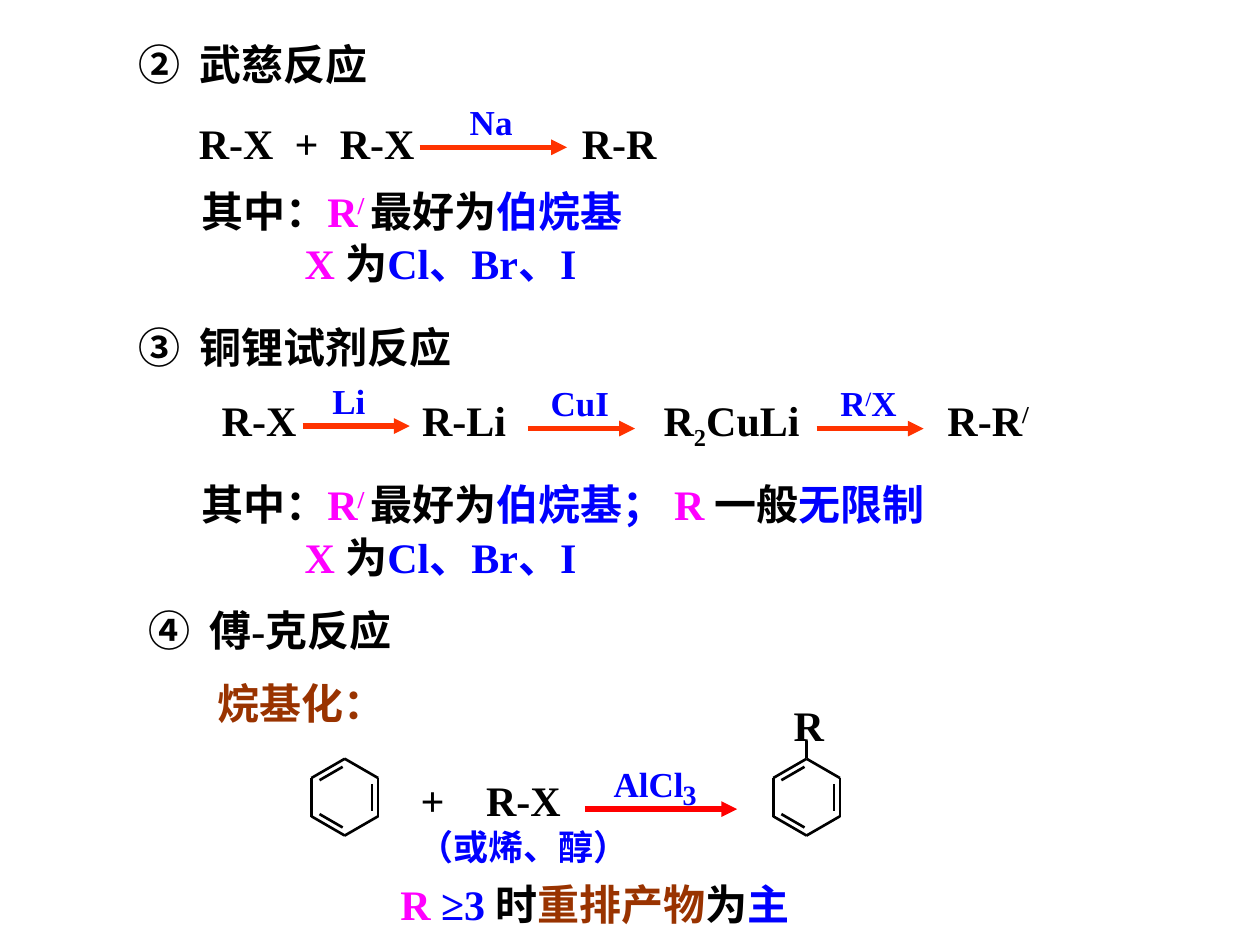
import math
from dataclasses import dataclass

import pptx
import pptx.dml.color
import pptx.enum.shapes
import pptx.enum.text
import pptx.oxml.ns
import pptx.util
from lxml import etree

Cm, Pt = pptx.util.Cm, pptx.util.Pt
qn = pptx.oxml.ns.qn


@dataclass(frozen=True)
class Theme:
    font: str = "Times New Roman"
    black: str = "000000"
    blue: str = "0000FF"
    pink: str = "FF00FF"
    brown: str = "993300"
    orange: str = "FF3300"
    red: str = "FF0000"
    big: int = 24
    small: int = 20
    tiny: int = 16
    bond: float = 1.5
    thick: float = 3


class Page:
    """Holds the theme and the slide; all lengths are centimetres."""

    def __init__(self, theme, slide):
        self.theme, self.slide = theme, slide

    def fill(self, shape, parts, size, tabs=()):
        """Write runs given as (text, colour) or (text, colour, baseline)."""
        frame = shape.text_frame
        frame.word_wrap = True
        frame.auto_size = pptx.enum.text.MSO_AUTO_SIZE.NONE
        frame.vertical_anchor = pptx.enum.text.MSO_ANCHOR.TOP
        par = frame.paragraphs[0]
        par.alignment = pptx.enum.text.PP_ALIGN.LEFT
        if tabs:
            stops = etree.SubElement(par._p.get_or_add_pPr(), qn("a:tabLst"))
            for stop in tabs:
                etree.SubElement(stops, qn("a:tab"), pos=str(Cm(stop)), algn="l")
        for text, color, *base in parts:
            run = par.add_run()
            run.text = text
            font = run.font
            font.name, font.size, font.bold = self.theme.font, Pt(size), True
            font.color.rgb = pptx.dml.color.RGBColor.from_string(color)
            if base:
                run._r.get_or_add_rPr().set("baseline", str(base[0] * 1000))

    def title(self, x, y, wide, text, tabs):
        shape = self.slide.shapes.title
        shape.left, shape.top = Cm(x), Cm(y)
        shape.width, shape.height = Cm(wide), Cm(1.27)
        self.fill(shape, [(text, self.theme.black)], self.theme.big, tabs)

    def text(self, x, y, wide, parts, size=None, tabs=()):
        size = size or self.theme.big
        high = 1.27 if size == self.theme.big else 1.11
        box = self.slide.shapes.add_textbox(Cm(x), Cm(y), Cm(wide), Cm(high))
        self.fill(box, parts, size, tabs)

    def line(self, x1, y1, x2, y2, color, width):
        kind = pptx.enum.shapes.MSO_CONNECTOR.STRAIGHT
        line = self.slide.shapes.add_connector(kind, Cm(x1), Cm(y1), Cm(x2), Cm(y2))
        line.line.color.rgb = pptx.dml.color.RGBColor.from_string(color)
        line.line.width = Pt(width)
        etree.SubElement(line._element.spPr, qn("a:effectLst"))
        return line

    def arrow(self, x, y, wide, color):
        line = self.line(x, y, x + wide, y, color, self.theme.thick)
        etree.SubElement(line.line._get_or_add_ln(), qn("a:tailEnd"), type="triangle")

    def side(self, x, y, angle, reach, half):
        """One bond, square to the ray that leaves the ring centre at angle."""
        cos, sin = math.cos(math.radians(angle)), math.sin(math.radians(angle))
        mid_x, mid_y = x + reach * cos, y + reach * sin
        self.line(mid_x + half * sin, mid_y - half * cos,
                  mid_x - half * sin, mid_y + half * cos,
                  self.theme.black, self.theme.bond)

    def ring(self, x, y):
        for angle in range(0, 360, 60):
            self.side(x, y, angle, 0.67, 0.39)
        for angle in range(0, 360, 120):
            self.side(x, y, angle, 0.55, 0.27)

    def note(self, y, extra=()):
        """The two lines on which R and X are allowed."""
        t = self.theme
        self.text(3.81, y, 18, [("其中：", t.black), ("R", t.pink), ("/ ", t.pink, 30),
                                ("最好为", t.black), ("伯烷基", t.blue), *extra])
        self.text(5.89, y + 1.06, 8, [("X ", t.pink), ("为", t.black),
                                      ("Cl、Br、I", t.blue)])


def main():
    deck = pptx.Presentation()
    deck.slide_width, deck.slide_height = Cm(25.4), Cm(19.05)
    t = Theme()
    page = Page(t, deck.slides.add_slide(deck.slide_layouts[5]))

    # Headings
    gap = [1.23]
    page.title(2.54, 0.64, 7, "②\t武慈反应", gap)
    page.text(2.54, 6.35, 8.05, [("③\t铜锂试剂反应", t.black)], tabs=gap)
    page.text(2.74, 12.07, 7, [("④\t傅-克反应", t.black)], tabs=gap)

    # Coupling with sodium
    page.text(3.76, 2.24, 11, [("R-X\t+\tR-X\tR-R", t.black)], tabs=[1.93, 2.84, 7.72])
    page.text(9.22, 1.9, 1.6, [("Na", t.blue)], t.small)
    page.arrow(8.46, 2.97, 2.97, t.orange)
    page.note(3.61)

    # Copper lithium route
    page.text(4.22, 7.82, 17.4, [("R-X\tR-Li\tR", t.black), ("2", t.black, -25),
                                 ("CuLi\tR-R", t.black), ("/", t.black, 30)],
              tabs=[4.04, 8.91, 14.63])
    steps = [
        (6.45, 7.52, 6.1, 8.59, [("Li", t.blue)]),
        (10.85, 7.57, 10.64, 8.64, [("CuI", t.blue)]),
        (16.69, 7.57, 16.46, 8.64, [("R", t.blue), ("/", t.blue, 30), ("X", t.blue)]),
    ]
    for x, y, start, level, parts in steps:
        page.text(x, y, 2, parts, t.small)
        page.arrow(start, level, 2.16, t.orange)
    page.note(9.53, [("； ", t.blue), ("R ", t.pink), ("一般", t.black),
                     ("无限制", t.blue)])

    # Alkylation of benzene
    page.text(4.14, 13.54, 4.2, [("烷基化：", t.brown)])
    for x in (6.95, 16.26):
        page.ring(x, 16.07)
    page.line(16.26, 15.29, 16.26, 14.94, t.black, t.bond)
    page.text(15.75, 13.97, 1.3, [("R", t.black)])
    page.text(8.23, 15.49, 4, [("+\tR-X", t.black)], tabs=[1.32])
    page.text(8.18, 16.51, 5, [("（或烯、醇）", t.blue)], t.small)
    page.arrow(11.79, 16.31, 3.07, t.red)
    page.text(12.12, 15.24, 2.2, [("AlCl", t.blue)], t.small)
    page.text(13.51, 15.54, 0.9, [("3", t.blue)], t.tiny)

    # Rearrangement rule
    page.text(7.82, 17.58, 9.2, [("R ", t.pink), ("≥3 ", t.blue), ("时", t.black),
                                 ("重排产物", t.brown), ("为", t.black), ("主", t.blue)])

    deck.save("out.pptx")


if __name__ == "__main__":
    main()
